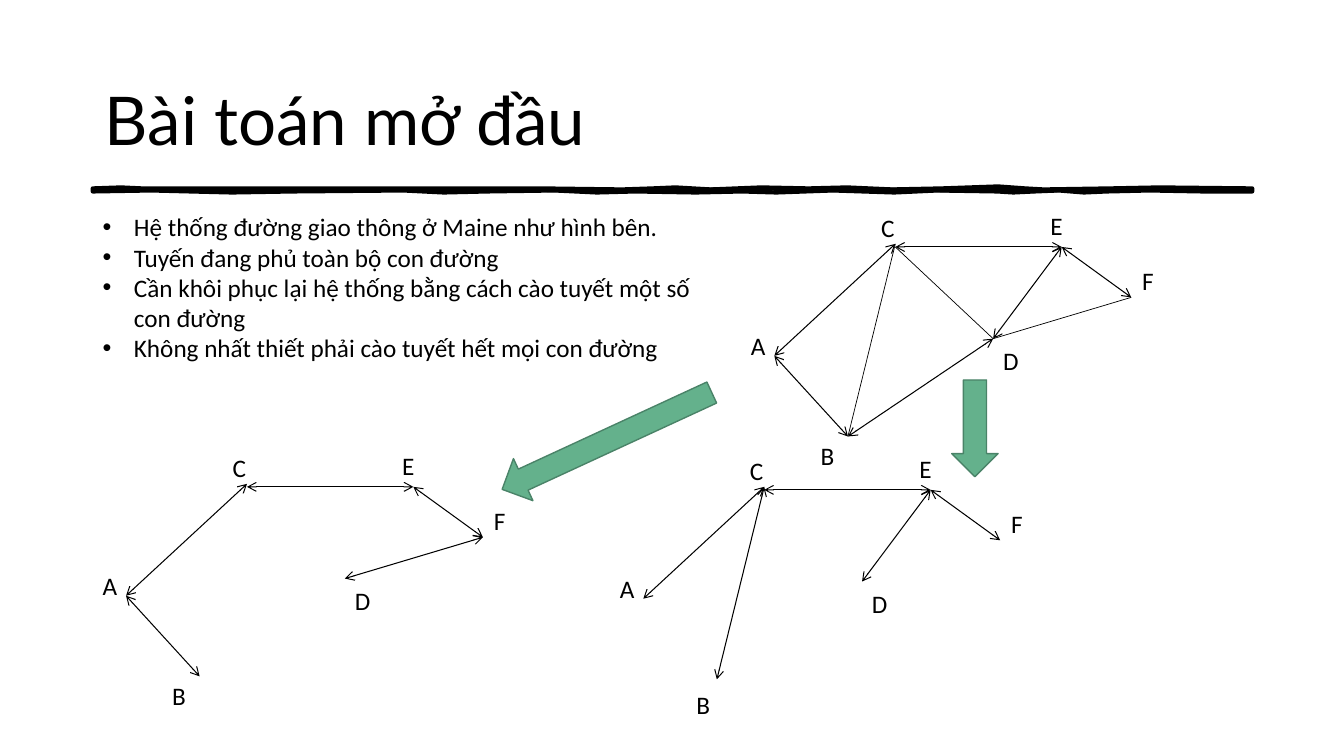
"""Builds the slide that introduces the snow-clearing road problem with three graphs."""
from lxml.etree import SubElement
from pptx import Presentation
from pptx.dml.color import RGBColor
from pptx.enum.shapes import MSO_CONNECTOR, MSO_SHAPE
from pptx.enum.text import MSO_ANCHOR
from pptx.oxml.ns import qn
from pptx.util import Inches, Pt

BLACK = RGBColor(0x00, 0x00, 0x00)
GREEN = RGBColor(0x64, 0xB1, 0x8C)
DARK_GREEN = RGBColor(0x4A, 0x83, 0x68)

TITLE = "Bài toán mở đầu"
BULLETS = [
    "Hệ thống đường giao thông ở Maine như hình bên.",
    "Tuyến đang phủ toàn bộ con đường",
    "Cần khôi phục lại hệ thống bằng cách cào tuyết một số con đường",
    "Không nhất thiết phải cào tuyết hết mọi con đường",
]

NODES = {
    "A": (7.68, 3.53), "B": (8.41, 4.33), "C": (8.88, 2.42),
    "D": (9.85, 3.36), "E": (10.53, 2.45), "F": (11.22, 2.95),
    "C-east": (8.88, 2.45),
}
LABELS = {
    "A": (7.35, 3.23, 0.34), "B": (8.04, 4.32, 0.34), "C": (8.64, 2.06, 0.34),
    "D": (9.85, 3.38, 0.35), "E": (10.32, 2.04, 0.32), "F": (11.23, 2.58, 0.32),
}
AC, BA, BC, BD = ("A", "C"), ("B", "A"), ("B", "C"), ("B", "D")
CE, FE, DC, DE, DF = ("C-east", "E"), ("F", "E"), ("D", "C-east"), ("D", "E"), ("D", "F")
GRAPHS = [
    {"offset": (0, 0), "roads": [AC, BA, CE, FE, DE, BD], "plain": [BC, DC, DF]},
    {"offset": (-6.43, 2.38), "roads": [AC, BA, CE, FE, DF]},
    {"offset": (-1.3, 2.41), "roads": [AC, BC, CE, FE, DE],
     "label_shift": {"B": (0.07, 0.06)}},
]
BLOCK_ARROWS = [(5.79, 3.23, 0.46, 2.29, 65.2), (9.44, 3.77, 0.46, 0.96, 0)]

RULE_OUTLINE = [
    (0.92, 1.87), (1.2, 1.86), (1.41, 1.87), (2.12, 1.87), (2.96, 1.87), (3.33, 1.87),
    (4.65, 1.87), (5.37, 1.87), (6.17, 1.88), (6.47, 1.87), (6.7, 1.86), (7.05, 1.88),
    (7.55, 1.86), (8.02, 1.87), (8.4, 1.86), (8.85, 1.88), (9.34, 1.87), (9.9, 1.85),
    (10.17, 1.87), (10.35, 1.88), (11.01, 1.87), (11.5, 1.86), (12.42, 1.87),
    (12.42, 1.9), (11.93, 1.9), (11.4, 1.89), (10.98, 1.9), (10.75, 1.91), (10.5, 1.89),
    (10.26, 1.9), (10.05, 1.91), (9.89, 1.9), (9.3, 1.89), (8.87, 1.91), (8.56, 1.9),
    (8.26, 1.89), (7.7, 1.91), (7.36, 1.9), (6.9, 1.91), (6.3, 1.9), (5.92, 1.91),
    (5.5, 1.89), (4.83, 1.9), (4.4, 1.91), (4, 1.89), (2.9, 1.9), (2.3, 1.91),
    (1.5, 1.89), (0.92, 1.9),
]
RULE_FILL = [
    (0.92, 1.87), (1.2, 1.88), (1.7, 1.86), (2.84, 1.87), (5, 1.87), (6.44, 1.87),
    (7.1, 1.86), (7.75, 1.88), (8.4, 1.86), (10.26, 1.87), (10.65, 1.88), (11.4, 1.85),
    (11.9, 1.88), (12.42, 1.87), (12.42, 1.9), (11.58, 1.9), (10.72, 1.9), (10.1, 1.92),
    (9.77, 1.9), (9.4, 1.91), (9.05, 1.9), (8.56, 1.9), (8.1, 1.91), (7.6, 1.89),
    (7.1, 1.9), (6.6, 1.88), (6.2, 1.91), (4.57, 1.9), (3.73, 1.9), (0.92, 1.9),
]


def add_rule(slide, points, stroked):
    corners = [(Inches(x), Inches(y)) for x, y in points]
    builder = slide.shapes.build_freeform(*corners[0])
    builder.add_line_segments(corners[1:], close=True)
    shape = builder.convert_to_shape()
    shape.shadow.inherit = False
    if stroked:
        shape.fill.background()
        shape.line.color.rgb = BLACK
        shape.line.width = Pt(3)
    else:
        shape.fill.solid()
        shape.fill.fore_color.rgb = BLACK
        shape.line.fill.background()


def add_text(slide, box, lines, size, font="Calibri", wrap=True):
    frame = slide.shapes.add_textbox(*map(Inches, box)).text_frame
    frame.word_wrap = wrap
    for index, line in enumerate(lines):
        paragraph = frame.paragraphs[0] if index == 0 else frame.add_paragraph()
        paragraph.text = line
        paragraph.font.size = Pt(size)
        paragraph.font.name = font
        paragraph.font.color.rgb = BLACK
    return frame


def add_road(slide, start, end, arrows):
    connector = slide.shapes.add_connector(
        MSO_CONNECTOR.STRAIGHT, *map(Inches, (*start, *end)))
    connector.line.color.rgb = BLACK
    connector.line.width = Pt(0.75 if arrows else 0.5)
    if arrows:
        line = connector.line._get_or_add_ln()
        for tag in ("a:headEnd", "a:tailEnd"):
            SubElement(line, qn(tag), type="arrow")
    SubElement(connector._element.spPr, qn("a:effectLst"))


def add_graph(slide, offset, roads, plain=(), label_shift=None):
    dx, dy = offset
    spots = {name: (x + dx, y + dy) for name, (x, y) in NODES.items()}
    for group, arrows in ((plain, False), (roads, True)):
        for start, end in group:
            add_road(slide, spots[start], spots[end], arrows)
    for name, (left, top, width) in LABELS.items():
        shift_x, shift_y = (label_shift or {}).get(name, (0, 0))
        box = (left + dx + shift_x, top + dy + shift_y, width, 0.4)
        add_text(slide, box, [name], 18, wrap=False)


def add_block_arrow(slide, left, top, width, height, rotation):
    shape = slide.shapes.add_shape(
        MSO_SHAPE.DOWN_ARROW, *map(Inches, (left, top, width, height)))
    shape.rotation = rotation
    shape.shadow.inherit = False
    shape.fill.solid()
    shape.fill.fore_color.rgb = GREEN
    shape.line.color.rgb = DARK_GREEN
    shape.line.width = Pt(1)


def main():
    presentation = Presentation()
    presentation.slide_width = Inches(13.33)
    presentation.slide_height = Inches(7.5)
    slide = presentation.slides.add_slide(presentation.slide_layouts[6])

    add_rule(slide, RULE_OUTLINE, stroked=True)
    add_rule(slide, RULE_FILL, stroked=False)

    title = add_text(slide, (0.92, 0.4, 11.5, 1.45), [TITLE], 48, "Lato")
    title.vertical_anchor = MSO_ANCHOR.MIDDLE
    title.margin_left = title.margin_right = title.margin_top = Inches(0.12)
    title.margin_bottom = Inches(0.1)
    title.paragraphs[0].line_spacing = 1.1

    bullets = add_text(slide, (0.92, 2.05, 6.22, 1.92), BULLETS, 18)
    for paragraph in bullets.paragraphs:
        properties = paragraph._p.get_or_add_pPr()
        properties.set("marL", str(Inches(0.31)))
        properties.set("indent", str(-Inches(0.31)))
        bullet_font = properties.makeelement(qn("a:buFont"), {"typeface": "Arial"})
        bullet_mark = properties.makeelement(qn("a:buChar"), {"char": "•"})
        properties.find(qn("a:defRPr")).addprevious(bullet_font)
        bullet_font.addnext(bullet_mark)

    for graph in GRAPHS:
        add_graph(slide, **graph)
    for arrow in BLOCK_ARROWS:
        add_block_arrow(slide, *arrow)

    presentation.save("out.pptx")


if __name__ == "__main__":
    main()
